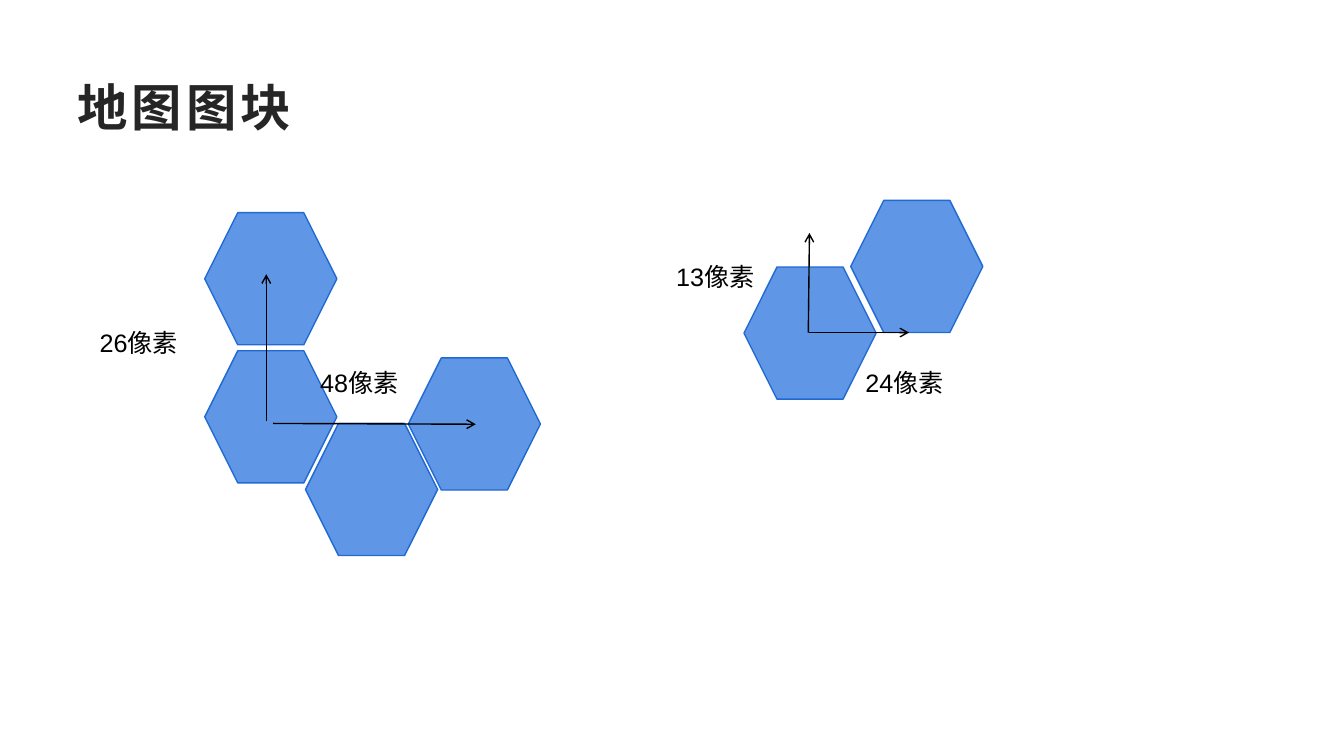
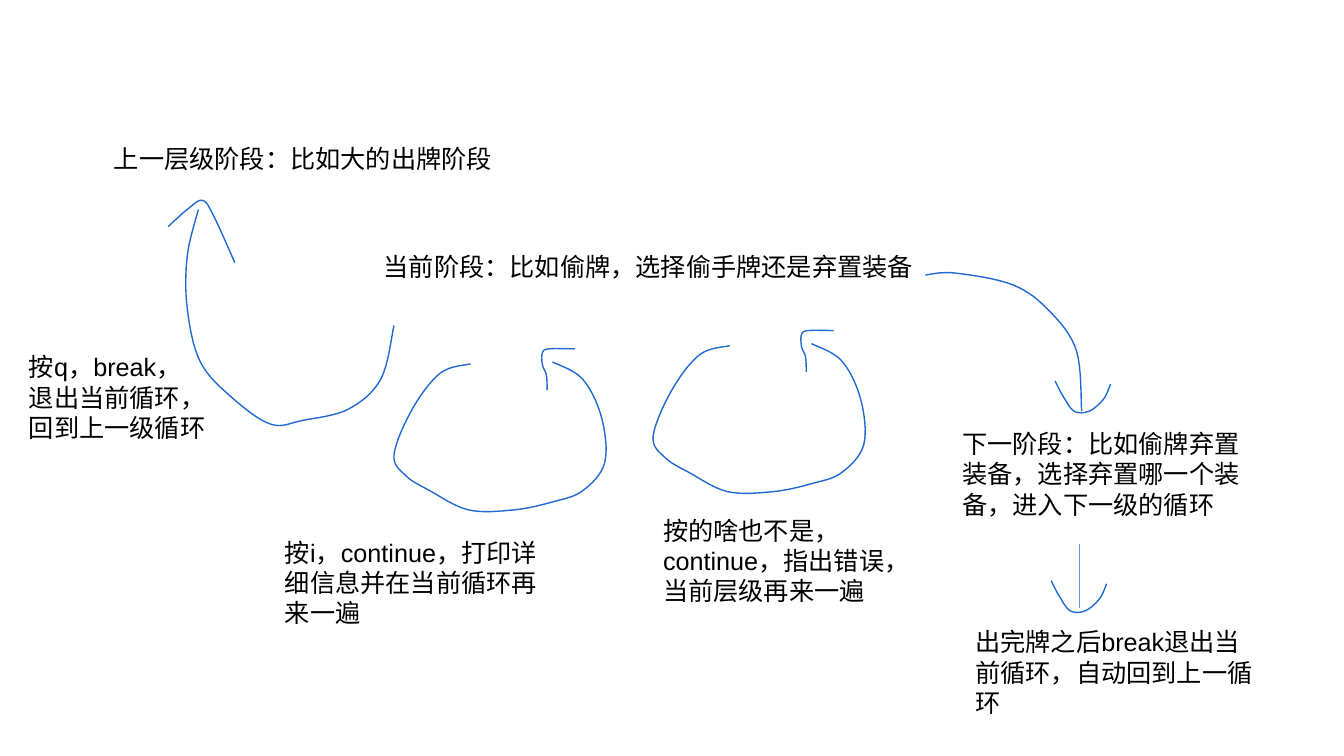
"""Build two slides: hexagon map tile spacing and the flow between game stages."""
from dataclasses import dataclass

from lxml import etree
from pptx import Presentation
from pptx.dml.color import RGBColor
from pptx.enum.shapes import MSO_CONNECTOR, MSO_SHAPE
from pptx.enum.text import MSO_ANCHOR
from pptx.oxml.ns import qn
from pptx.slide import Slide
from pptx.util import Cm, Pt

HEXAGON = MSO_SHAPE.HEXAGON
STRAIGHT = MSO_CONNECTOR.STRAIGHT
MIDDLE = MSO_ANCHOR.MIDDLE
BLANK = 6

Point = tuple[float, float]


@dataclass(frozen=True)
class Theme:
    font: str = "Arial"
    title: RGBColor = RGBColor(0x26, 0x26, 0x26)
    text: RGBColor = RGBColor(0, 0, 0)
    tile: RGBColor = RGBColor(0x60, 0x96, 0xE6)
    outline: RGBColor = RGBColor(0x21, 0x69, 0xD3)
    title_size: Pt = Pt(36)
    body_size: Pt = Pt(18)
    line_width: Pt = Pt(1)


@dataclass(frozen=True)
class Label:
    text: str
    x: float
    y: float
    w: float
    h: float


@dataclass(frozen=True)
class Measure:
    label: Label
    start: Point
    end: Point


@dataclass(frozen=True)
class Stroke:
    x: float
    y: float
    knots: list[Point]


THEME = Theme()

TITLE = Label("地图图块", 1.7, 1.7, 30.48, 1.96)
TILE_SIZE = 3.33
TILES = [(5.16, 5.36), (5.16, 8.84), (7.7, 10.67), (10.29, 9.02),
         (18.75, 6.73), (21.44, 5.05)]
MEASURES = [
    Measure(Label("48像素", 7.82, 9.14, 3.2, 1.02), (6.88, 10.67), (11.99, 10.69)),
    Measure(Label("26像素", 2.26, 8.13, 3.2, 1.02), (6.71, 10.62), (6.71, 6.91)),
    Measure(Label("24像素", 21.56, 9.14, 3.2, 1.02), (20.4, 8.38), (22.91, 8.38)),
    Measure(Label("13像素", 16.79, 6.45, 3.02, 1.02), (20.37, 8.38), (20.4, 5.87)),
]

STAGE_LABELS = [
    Label("上一层级阶段：比如大的出牌阶段", 2.62, 3.48, 11.02, 1.07),
    Label("当前阶段：比如偷牌，选择偷手牌还是弃置装备", 9.42, 6.2, 14.99, 1.02),
    Label("按q，break，\n退出当前循环，\n回到上一级循环", 0.48, 8.74, 5.44, 2.59),
    Label("按i，continue，打印详细信息并在当前循环再来一遍", 6.93, 13.41, 7.06, 2.57),
    Label("按的啥也不是，continue，指出错误，当前层级再来一遍", 16.46, 12.85, 6.35, 2.57),
    Label("下一阶段：比如偷牌弃置装备，选择弃置哪一个装备，进入下一级的循环",
          24, 10.67, 7.82, 2.57),
    Label("出完牌之后break退出当前循环，自动回到上一循环", 24.33, 15.67, 7.62, 2.57),
]
NEXT_START, NEXT_END = (27.2, 13.72), (27.2, 15.32)

EXIT_CURVE = [(5.21, 2.92), (4.88, 4.27), (4.06, 5.03), (2.92, 5.31), (2.11, 5.41),
              (1.14, 4.75), (0.33, 3.84), (0, 2.49), (0, 1.17), (0.28, 0)]
EXIT_TIP = [(0, 0.66), (0.48, 0.23), (0.86, 0), (1.14, 0.38), (1.68, 1.57)]
REPEAT_CURVE = [(1.93, 0.05), (1.17, 0.28), (0.46, 1.19), (0, 2.34), (0.3, 2.87),
                (0.91, 3.25), (1.88, 3.73), (3.02, 3.73), (3.99, 3.53),
                (4.75, 3.25), (5.31, 2.54), (5.23, 1.4), (4.75, 0.43), (3.99, 0)]
REPEAT_TIP = [(0.15, 1.07), (0.13, 0.69), (0.03, 0.43), (0.03, 0.13), (0.2, 0.03),
              (0.84, 0.03)]
NEXT_CURVE = [(0, 0.05), (0.74, 0), (2.21, 0.3), (3.14, 0.97), (3.81, 1.96),
              (3.94, 3.48)]
NEXT_TIP = [(0, 0), (0.2, 0.38), (0.48, 0.76), (0.86, 0.76), (1.22, 0.46),
            (1.4, 0.08)]

REPEATS = [(9.93, 9.12), (16.46, 8.66)]
REPEAT_TIP_DX, REPEAT_TIP_DY = 3.71, -0.36
NEXT_TIPS = [(26.59, 9.6), (26.49, 14.63)]

STROKES = [
    Stroke(4.72, 5.28, EXIT_CURVE),
    Stroke(4.24, 5.05, EXIT_TIP),
    *(Stroke(x, y, REPEAT_CURVE) for x, y in REPEATS),
    *(Stroke(x + REPEAT_TIP_DX, y + REPEAT_TIP_DY, REPEAT_TIP) for x, y in REPEATS),
    Stroke(23.32, 6.88, NEXT_CURVE),
    *(Stroke(x, y, NEXT_TIP) for x, y in NEXT_TIPS),
]


def spline(a: float, b: float, c: float, d: float, t: float) -> float:
    """Return the Catmull-Rom value between b and c at t."""
    return b + t / 2 * (c - a + t * (2 * a - 5 * b + 4 * c - d
                                     + t * (3 * (b - c) + d - a)))


def smooth(knots: list[Point], steps: int = 8) -> list[Point]:
    """Return points along a smooth curve through the knots."""
    padded = [knots[0], *knots, knots[-1]]
    points = [knots[0]]
    for quad in zip(padded, padded[1:], padded[2:], padded[3:]):
        xs, ys = zip(*quad)
        for step in range(1, steps + 1):
            t = step / steps
            points.append((spline(*xs, t), spline(*ys, t)))
    return points


def add_label(s: Slide, label: Label, size: Pt = THEME.body_size,
              color: RGBColor = THEME.text, bold: bool = False):
    """Add a wrapped text box and return its text frame."""
    sp = s.shapes.add_textbox(Cm(label.x), Cm(label.y), Cm(label.w), Cm(label.h))
    tf = sp.text_frame
    tf.word_wrap = True
    tf.text = label.text
    for p in tf.paragraphs:
        for r in p.runs:
            r.font.name = THEME.font
            r.font.size = size
            r.font.color.rgb = color
            r.font.bold = bold
    return tf


def add_title(s: Slide, label: Label) -> None:
    """Add a bold, letter-spaced slide title."""
    tf = add_label(s, label, THEME.title_size, THEME.title, True)
    tf.vertical_anchor = MIDDLE
    tf.paragraphs[0].runs[0].font._element.set("spc", "300")


def set_line(sp, color: RGBColor) -> None:
    """Give a shape or connector the shared line width and a colour."""
    sp.line.color.rgb = color
    sp.line.width = THEME.line_width


def add_tile(s: Slide, x: float, y: float) -> None:
    """Add one hexagonal map tile."""
    sp = s.shapes.add_shape(HEXAGON, Cm(x), Cm(y), Cm(TILE_SIZE), Cm(TILE_SIZE))
    sp.shadow.inherit = False
    sp.fill.solid()
    sp.fill.fore_color.rgb = THEME.tile
    set_line(sp, THEME.outline)


def add_line(s: Slide, start: Point, end: Point, color: RGBColor,
             head: bool = False) -> None:
    """Add a straight line, with an open arrowhead if asked."""
    sp = s.shapes.add_connector(STRAIGHT, *(Cm(v) for v in (*start, *end)))
    set_line(sp, color)
    if head:
        etree.SubElement(sp.line._get_or_add_ln(), qn("a:tailEnd"), type="arrow")
    etree.SubElement(sp._element.spPr, qn("a:effectLst"))


def add_stroke(s: Slide, stroke: Stroke) -> None:
    """Add an open hand-drawn stroke."""
    first, *rest = [(Cm(stroke.x + x), Cm(stroke.y + y))
                    for x, y in smooth(stroke.knots)]
    builder = s.shapes.build_freeform(*first)
    builder.add_line_segments(rest, close=False)
    sp = builder.convert_to_shape()
    sp.shadow.inherit = False
    sp.fill.background()
    set_line(sp, THEME.outline)


def build_tiles(s: Slide) -> None:
    """Draw the map tile slide."""
    add_title(s, TITLE)
    for x, y in TILES:
        add_tile(s, x, y)
    for measure in MEASURES:
        add_line(s, measure.start, measure.end, THEME.text, head=True)
        add_label(s, measure.label)


def build_stages(s: Slide) -> None:
    """Draw the stage flow slide."""
    for label in STAGE_LABELS:
        add_label(s, label)
    add_line(s, NEXT_START, NEXT_END, THEME.tile)
    for stroke in STROKES:
        add_stroke(s, stroke)


def main() -> None:
    """Build and save the presentation."""
    prs = Presentation()
    prs.slide_width, prs.slide_height = Cm(33.87), Cm(19.05)
    for build in (build_tiles, build_stages):
        build(prs.slides.add_slide(prs.slide_layouts[BLANK]))
    prs.save("out.pptx")


if __name__ == "__main__":
    main()
